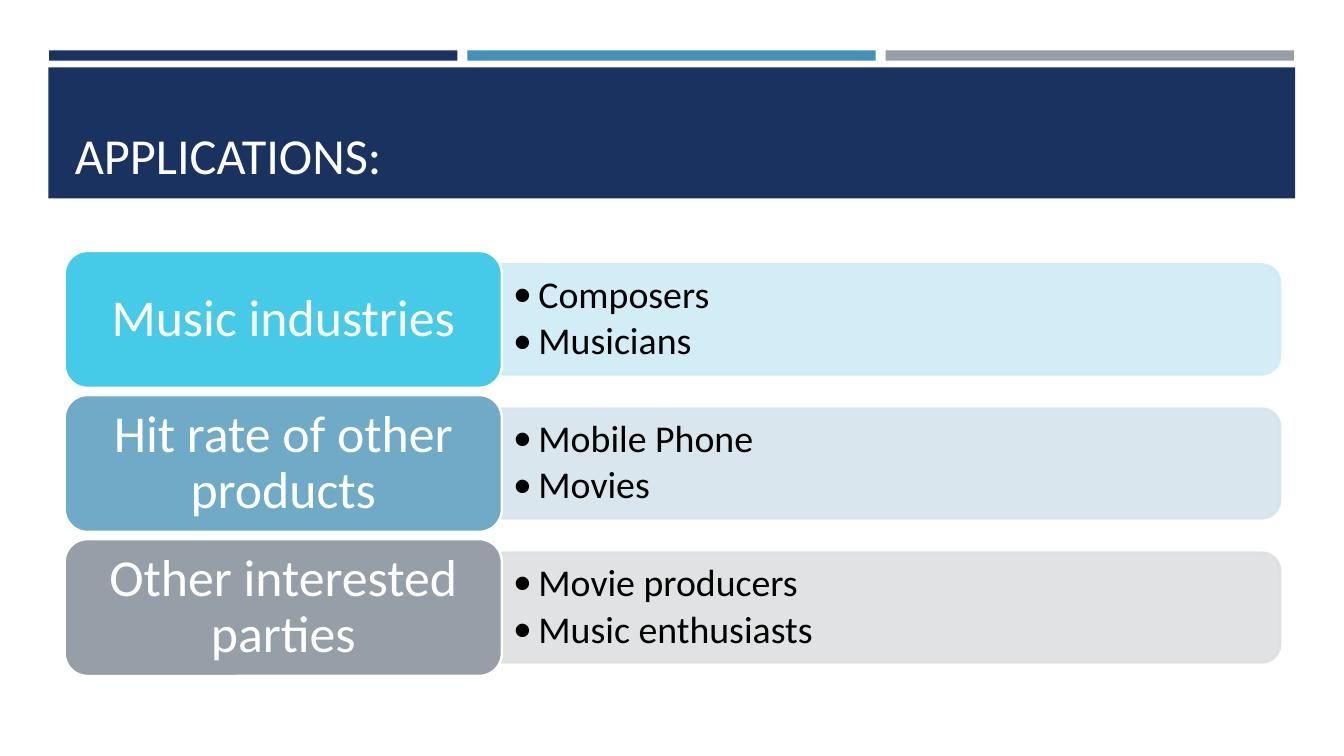
from dataclasses import dataclass
from typing import Any

from lxml.etree import SubElement
from pptx import Presentation
from pptx.dml.color import RGBColor
from pptx.enum.shapes import MSO_SHAPE
from pptx.enum.text import MSO_ANCHOR, MSO_AUTO_SIZE, PP_ALIGN
from pptx.oxml.ns import qn
from pptx.util import Cm, Pt

NAVY = RGBColor(0x1A, 0x32, 0x60)
BLUE = RGBColor(0x45, 0x90, 0xB8)
GREY = RGBColor(0x96, 0x9F, 0xA7)
CYAN = RGBColor(0x45, 0xCB, 0xE8)
STEEL = RGBColor(0x6F, 0xAA, 0xC6)
PALE_CYAN = RGBColor(0xCF, 0xEC, 0xF6)
PALE_STEEL = RGBColor(0xD5, 0xE4, 0xEC)
PALE_GREY = RGBColor(0xDD, 0xDF, 0xE1)
WHITE = RGBColor(0xFF, 0xFF, 0xFF)
BLACK = RGBColor(0x00, 0x00, 0x00)

FONT = "Calibri"
OUTLINE = Pt(1.75)
PANEL_OPACITY = 90

# Geometry in centimetres
BAR_LEFT, BAR_TOP, BAR_WIDTH, BAR_HEIGHT, BAR_PITCH = 1.24, 1.27, 10.29, 0.26, 10.54
LABEL_LEFT, LABEL_WIDTH, LABEL_HEIGHT = 1.63, 11.02, 3.45
PANEL_LEFT, PANEL_WIDTH, PANEL_HEIGHT = 12.65, 19.61, 2.77
EXAMPLES_WIDTH, EXAMPLES_HEIGHT = 19.48, 2.49
FIRST_CENTRE, ROW_PITCH = 8.05, 3.63
BULLET_INDENT = 0.64

LABEL_FRAME = {
    "word_wrap": True, "vertical_anchor": MSO_ANCHOR.MIDDLE,
    "margin_left": Cm(0.38), "margin_right": Cm(0.38),
    "margin_top": Cm(0.2), "margin_bottom": Cm(0.2),
}
EXAMPLES_FRAME = {
    "word_wrap": True, "vertical_anchor": MSO_ANCHOR.MIDDLE,
    "margin_left": Cm(0.28), "margin_right": Cm(0.28),
    "margin_top": Cm(0.15), "margin_bottom": Cm(0.15),
}
TITLE_FRAME = {
    "word_wrap": True, "vertical_anchor": MSO_ANCHOR.BOTTOM,
    "auto_size": MSO_AUTO_SIZE.NONE,
}
LABEL_PARAGRAPH = {"alignment": PP_ALIGN.CENTER, "line_spacing": 0.9}
EXAMPLE_PARAGRAPH = {
    "alignment": PP_ALIGN.LEFT, "level": 1,
    "line_spacing": 0.9, "space_after": Pt(4),
}


@dataclass(frozen=True)
class Application:
    label: str
    examples: tuple[str, ...]
    color: RGBColor
    panel_color: RGBColor


APPLICATIONS = (
    Application("Music industries", ("Composers", "Musicians"), CYAN, PALE_CYAN),
    Application("Hit rate of other products", ("Mobile Phone", "Movies"),
                STEEL, PALE_STEEL),
    Application("Other interested parties", ("Movie producers", "Music enthusiasts"),
                GREY, PALE_GREY),
)


def apply_format(target: Any, values: dict[str, Any]) -> None:
    for name, value in values.items():
        setattr(target, name, value)


def add_text(paragraph: Any, text: str, size: int, color: RGBColor) -> None:
    run = paragraph.add_run()
    run.text = text
    apply_format(run.font, {"name": FONT, "size": Pt(size)})
    run.font.color.rgb = color


def add_block(slide: Any, kind: MSO_SHAPE, left: float, top: float, width: float,
              height: float, fill: RGBColor, outline: RGBColor | None = None) -> Any:
    block = slide.shapes.add_shape(kind, Cm(left), Cm(top), Cm(width), Cm(height))
    block.shadow.inherit = False
    block.fill.solid()
    block.fill.fore_color.rgb = fill
    if outline is None:
        block.line.fill.background()
    else:
        block.line.color.rgb = outline
        block.line.width = OUTLINE
    return block


def add_bullet(paragraph: Any) -> None:
    properties = paragraph._p.get_or_add_pPr()
    properties.set("marL", str(Cm(BULLET_INDENT)))
    properties.set("indent", str(-Cm(BULLET_INDENT)))
    SubElement(properties, qn("a:buFont"), typeface=FONT)
    SubElement(properties, qn("a:buChar"), char="•")


def draw_header(slide: Any) -> None:
    title = slide.shapes.title
    for index, color in enumerate((NAVY, BLUE, GREY)):
        add_block(slide, MSO_SHAPE.RECTANGLE, BAR_LEFT + index * BAR_PITCH, BAR_TOP,
                  BAR_WIDTH, BAR_HEIGHT, color)
    band = add_block(slide, MSO_SHAPE.RECTANGLE, 1.22, 1.7, 31.42, 3.3, NAVY)
    # The title sits in front of its band
    band.element.addnext(title.element)
    apply_format(title, {"left": Cm(1.63), "top": Cm(1.96),
                         "width": Cm(30.63), "height": Cm(2.82)})
    apply_format(title.text_frame, TITLE_FRAME)
    heading = title.text_frame.paragraphs[0]
    heading.alignment = PP_ALIGN.LEFT
    add_text(heading, "APPLICATIONS:", 36, WHITE)


def draw_application(slide: Any, application: Application, centre: float) -> None:
    # Panel: an upright shape turned so its rounded end faces right
    panel = add_block(slide, MSO_SHAPE.ROUND_2_SAME_RECTANGLE,
                      PANEL_LEFT + (PANEL_WIDTH - PANEL_HEIGHT) / 2,
                      centre - PANEL_WIDTH / 2, PANEL_HEIGHT, PANEL_WIDTH,
                      application.panel_color, application.panel_color)
    panel.rotation = 90
    for color in panel.element.spPr.iter(qn("a:srgbClr")):
        SubElement(color, qn("a:alpha"), val=str(PANEL_OPACITY * 1000))

    # Bulleted examples
    examples = slide.shapes.add_textbox(
        Cm(PANEL_LEFT), Cm(centre - EXAMPLES_HEIGHT / 2),
        Cm(EXAMPLES_WIDTH), Cm(EXAMPLES_HEIGHT)).text_frame
    apply_format(examples, EXAMPLES_FRAME)
    for index, example in enumerate(application.examples):
        paragraph = examples.add_paragraph() if index else examples.paragraphs[0]
        add_bullet(paragraph)
        apply_format(paragraph, EXAMPLE_PARAGRAPH)
        add_text(paragraph, example, 27, BLACK)

    # Label
    label = add_block(slide, MSO_SHAPE.ROUNDED_RECTANGLE, LABEL_LEFT,
                      centre - LABEL_HEIGHT / 2, LABEL_WIDTH, LABEL_HEIGHT,
                      application.color, WHITE).text_frame
    apply_format(label, LABEL_FRAME)
    apply_format(label.paragraphs[0], LABEL_PARAGRAPH)
    add_text(label.paragraphs[0], application.label, 37, WHITE)


def main() -> None:
    presentation = Presentation()
    presentation.slide_width = Cm(33.87)
    presentation.slide_height = Cm(19.05)
    slide = presentation.slides.add_slide(presentation.slide_layouts[5])
    draw_header(slide)
    for row, application in enumerate(APPLICATIONS):
        draw_application(slide, application, FIRST_CENTRE + row * ROW_PITCH)
    presentation.save("out.pptx")


if __name__ == "__main__":
    main()
